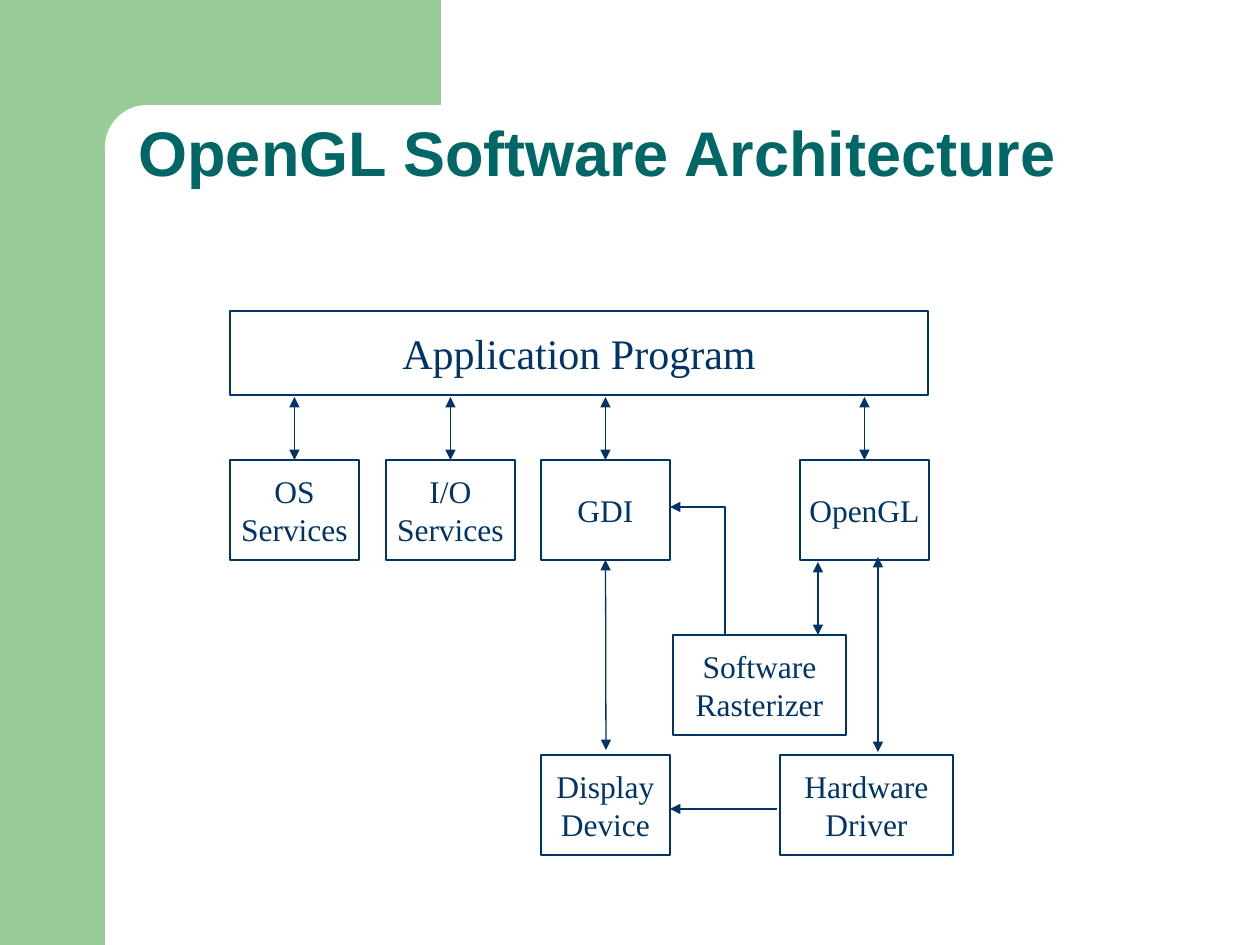
from lxml import etree
from pptx import Presentation
from pptx import util as u
from pptx.dml import color
from pptx.enum import shapes, text
from pptx.oxml import ns

EMU_PER_PX = 914400 / 126
INK, GREEN, WHITE, TEAL = "003366", "99CC99", "FFFFFF", "006666"


def px(*lengths):
    return [u.Emu(round(length * EMU_PER_PX)) for length in lengths]


def rgb(value):
    return color.RGBColor.from_string(value)


def write(frame, words, size=18, font="Times New Roman", ink=INK, bold=False,
          align=text.PP_ALIGN.CENTER, anchor=text.MSO_ANCHOR.MIDDLE,
          wrap=False, spacing=None):
    frame.text = words
    frame.word_wrap = wrap
    frame.auto_size = text.MSO_AUTO_SIZE.NONE
    frame.vertical_anchor = anchor
    for paragraph in frame.paragraphs:
        paragraph.alignment = align
        paragraph.line_spacing = spacing
        paragraph.font.size = u.Pt(size)
        paragraph.font.name = font
        paragraph.font.bold = bold
        paragraph.font.color.rgb = rgb(ink)


class Diagram:
    def __init__(self, slide, ink=INK, weight=0.75):
        self.slide = slide
        self.ink = ink
        self.weight = weight

    def panel(self, x, y, width, height, fill, kind=shapes.MSO_SHAPE.RECTANGLE):
        panel = self.slide.shapes.add_shape(kind, *px(x, y, width, height))
        panel.shadow.inherit = False
        panel.fill.solid()
        panel.fill.fore_color.rgb = rgb(fill)
        panel.line.fill.background()
        return panel

    def title(self, words, x, y, width, height):
        title = self.slide.shapes.title
        title.left, title.top, title.width, title.height = px(x, y, width, height)
        write(title.text_frame, words, size=36, font="Arial", ink=TEAL, bold=True,
              align=text.PP_ALIGN.LEFT, anchor=text.MSO_ANCHOR.BOTTOM,
              wrap=True, spacing=0.9)
        self.slide.shapes.element.append(title.element)

    def box(self, words, x, y, width=129, height=100, size=18):
        box = self.panel(x, y, width, height, WHITE)
        self.stroke(box.line)
        write(box.text_frame, words, size=size, ink=self.ink)
        return box

    def stroke(self, line, *ends):
        line.color.rgb = rgb(self.ink)
        line.width = u.Pt(self.weight)
        for end in ends:
            etree.SubElement(line._get_or_add_ln(), ns.qn(f"a:{end}"), type="triangle")

    def arrow(self, start, finish, both=True, leaves=None, enters=None):
        arrow = self.slide.shapes.add_connector(
            shapes.MSO_CONNECTOR.STRAIGHT, *px(*start, *finish))
        if leaves:
            arrow.begin_connect(*leaves)
        if enters:
            arrow.end_connect(*enters)
        self.stroke(arrow.line, *(["headEnd"] if both else []), "tailEnd")
        etree.SubElement(arrow.element.spPr, ns.qn("a:effectLst"))

    def bent_arrow(self, start, *corners):
        builder = self.slide.shapes.build_freeform(*start, scale=EMU_PER_PX)
        builder.add_line_segments(corners, close=False)
        route = builder.convert_to_shape()
        route.shadow.inherit = False
        route.fill.background()
        self.stroke(route.line, "tailEnd")


def main():
    deck = Presentation()
    deck.slide_width, deck.slide_height = px(1260, 945)
    diagram = Diagram(deck.slides.add_slide(deck.slide_layouts[5]))

    diagram.panel(0, 0, 105, 945, GREEN)
    diagram.panel(95, 0, 346, 147, GREEN)
    corner = diagram.panel(105, 105, 703, 84, WHITE, shapes.MSO_SHAPE.ROUNDED_RECTANGLE)
    corner.adjustments[0] = 0.5
    diagram.title("OpenGL Software Architecture", 126, 93, 1103, 103)

    diagram.box("Application Program", 230, 311, 698, 84, size=24)
    services = {}
    for service, x in (("OS\nServices", 230), ("I/O\nServices", 386),
                       ("GDI", 541), ("OpenGL", 800)):
        services[service] = diagram.box(service, x, 460)
        middle = x + 129 / 2
        diagram.arrow((middle, 397), (middle, 460), enters=(services[service], 0))

    diagram.box("Hardware\nDriver", 780, 755, width=173)
    diagram.box("Display\nDevice", 541, 755)
    diagram.box("Software\nRasterizer", 673, 635, width=173)

    diagram.arrow((606, 560), (606, 750), leaves=(services["GDI"], 2))
    diagram.arrow((777, 809), (670, 809), both=False)
    diagram.arrow((818, 562), (818, 635))
    diagram.arrow((878, 557), (878, 752))
    diagram.bent_arrow((725, 634), (725, 507), (670, 507))

    deck.save("out.pptx")


if __name__ == "__main__":
    main()
